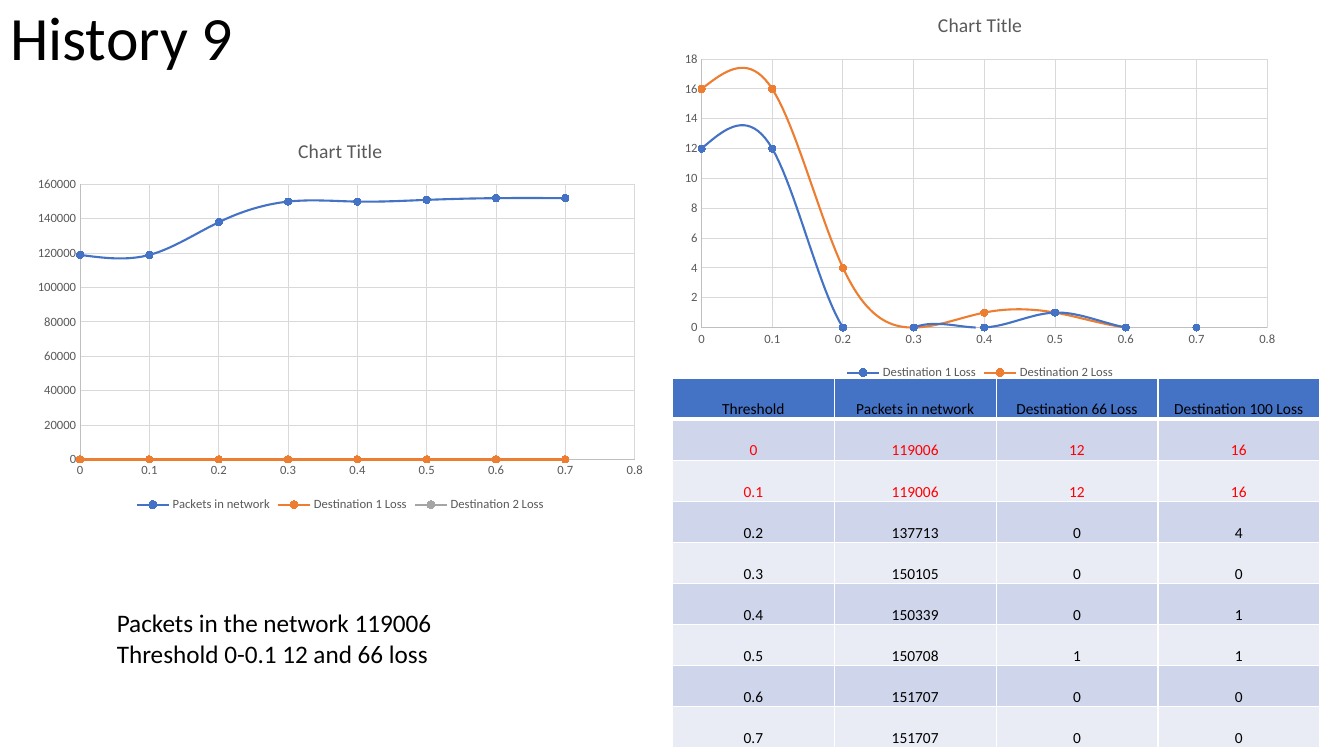
import pptx
import pptx.util
import pptx.oxml
import pptx.oxml.ns
import pptx.dml.color
import pptx.chart.data
import pptx.enum.chart
import pptx.enum.text

Inches, Pt = pptx.util.Inches, pptx.util.Pt
ANCHOR = pptx.enum.text.MSO_ANCHOR
ALIGN = pptx.enum.text.PP_ALIGN
FIT = pptx.enum.text.MSO_AUTO_SIZE
TICK = pptx.enum.chart.XL_TICK_MARK


def tint(code):
    return pptx.dml.color.RGBColor.from_string(code)


def style(font, size, code):
    look = {"name": "Calibri", "size": Pt(size), "bold": False}
    for key, val in look.items():
        setattr(font, key, val)
    font.color.rgb = tint(code)


deck = pptx.Presentation()
deck.slide_width, deck.slide_height = Inches(13.33), Inches(7.5)
slide = deck.slides.add_slide(deck.slide_layouts[5])

# Title
title = slide.shapes.title
place = {"left": 0, "top": -0.32, "width": 11.5, "height": 1.45}
for key, val in place.items():
    setattr(title, key, Inches(val))
frame = title.text_frame
frame.text = "History 9"
frame.auto_size = FIT.NONE
frame.vertical_anchor = ANCHOR.MIDDLE
para = frame.paragraphs[0]
para.alignment = ALIGN.LEFT
para.line_spacing = 0.9
style(para.runs[0].font, 44, "000000")

# Measured values: threshold, packets, loss 1, loss 2
rows = [
    (0, 119006, 12, 16),
    (0.1, 119006, 12, 16),
    (0.2, 137713, 0, 4),
    (0.3, 150105, 0, 0),
    (0.4, 150339, 0, 1),
    (0.5, 150708, 1, 1),
    (0.6, 151707, 0, 0),
    (0.7, 151707, 0, 0),
]
steps, packets, loss1, loss2 = zip(*rows)
packets = [round(val, -3) for val in packets]
none = (0,) * len(rows)

# Charts: box, top of value axis, its step, series
plots = [
    ((0.25, 1.19, 6.25, 3.93), 160000, 20000,
     [("Packets in network", packets), ("Destination 1 Loss", none),
      ("Destination 2 Loss", none)]),
    ((6.67, -0.05, 6.1, 3.86), 18, 2,
     [("Destination 1 Loss", loss1), ("Destination 2 Loss", loss2)]),
]
for box, top, unit, lines in plots:
    data = pptx.chart.data.XyChartData()
    for name, vals in lines:
        line = data.add_series(name)
        for x, y in zip(steps, vals):
            line.add_data_point(x, y)
    chart = slide.shapes.add_chart(
        pptx.enum.chart.XL_CHART_TYPE.XY_SCATTER_SMOOTH,
        *map(Inches, box), data).chart
    style(chart.font, 10, "000000")
    chart.has_title = True
    head = chart.chart_title.text_frame
    head.text = "Chart Title"
    style(head.paragraphs[0].runs[0].font, 14, "595959")
    chart.chart_title.include_in_layout = False

    # Legend
    chart.has_legend = True
    chart.legend.position = pptx.enum.chart.XL_LEGEND_POSITION.BOTTOM
    chart.legend.include_in_layout = False
    style(chart.legend.font, 9, "595959")

    # Axes
    scales = [(chart.category_axis, 0.8, 0.1), (chart.value_axis, top, unit)]
    for axis, high, gap in scales:
        form = {"minimum_scale": 0, "maximum_scale": high, "major_unit": gap,
                "major_tick_mark": TICK.NONE, "minor_tick_mark": TICK.NONE,
                "has_major_gridlines": True}
        for key, val in form.items():
            setattr(axis, key, val)
        style(axis.tick_labels.font, 9, "595959")
        axis.tick_labels.number_format = "General"
        axis.tick_labels.number_format_is_linked = False
        for part, code in ((axis, "BFBFBF"), (axis.major_gridlines, "D9D9D9")):
            part.format.line.color.rgb = tint(code)
            part.format.line.width = Pt(0.75)

    # Series, drawn as smooth curves
    plot = chart.plots[0]
    plot.vary_by_categories = False
    for line, code in zip(plot.series, ("4472C4", "ED7D31", "A5A5A5")):
        line.format.line.color.rgb = tint(code)
        line.format.line.width = Pt(1.5)
        mark = line.marker
        mark.style = pptx.enum.chart.XL_MARKER_STYLE.CIRCLE
        mark.size = 5
        mark.format.fill.solid()
        mark.format.fill.fore_color.rgb = tint(code)
        mark.format.line.color.rgb = tint(code)
        for curve in line._element.findall(pptx.oxml.ns.qn("c:smooth")):
            curve.set("val", "1")

# Table
heads = ("Threshold", "Packets in network", "Destination 66 Loss",
         "Destination 100 Loss")
grid = [heads] + rows
table = slide.shapes.add_table(
    len(grid), len(heads), Inches(6.67), Inches(3.75),
    Inches(6.42), Inches(3.67)).table
form = {"margin_left": Inches(0.01), "margin_right": Inches(0.01),
        "margin_top": Inches(0.01), "margin_bottom": 0,
        "vertical_anchor": ANCHOR.BOTTOM}
edge = ('<a:lnB %s w="38100"><a:solidFill><a:srgbClr val="FFFFFF"/>'
        '</a:solidFill></a:lnB>' % pptx.oxml.ns.nsdecls("a"))
for r, row in enumerate(grid):
    back = "4472C4" if r == 0 else ("E9EBF5", "CFD5EA")[r % 2]
    for c, val in enumerate(row):
        cell = table.cell(r, c)
        for key, item in form.items():
            setattr(cell, key, item)
        cell.fill.solid()
        cell.fill.fore_color.rgb = tint(back)
        if r == 0:
            cell._tc.get_or_add_tcPr().insert(0, pptx.oxml.parse_xml(edge))
        cell.text = str(val)
        para = cell.text_frame.paragraphs[0]
        para.alignment = ALIGN.CENTER
        style(para.runs[0].font, 11, "FF0000" if r in (1, 2) else "000000")

# Remark
note = slide.shapes.add_textbox(
    Inches(1.06), Inches(5.98), Inches(4.12), Inches(0.71)).text_frame
note.word_wrap = True
note.auto_size = FIT.SHAPE_TO_FIT_TEXT
note.text = "Packets in the network 119006\nThreshold 0-0.1 12 and 66 loss"
for para in note.paragraphs:
    style(para.runs[0].font, 18, "000000")

deck.save("out.pptx")
